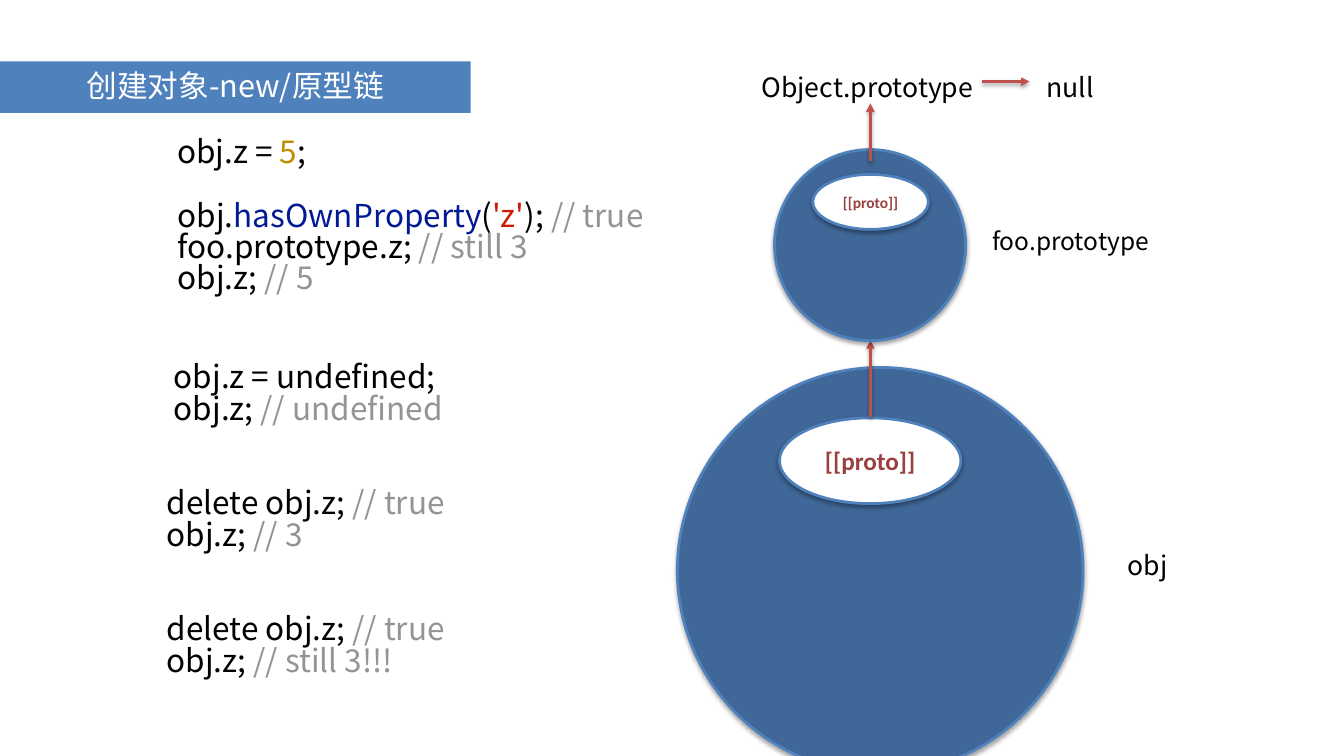
from lxml import etree
from pptx import Presentation
from pptx.dml.color import RGBColor
from pptx.enum.shapes import MSO_CONNECTOR, MSO_SHAPE
from pptx.enum.text import MSO_ANCHOR, PP_ALIGN
from pptx.oxml.ns import qn
from pptx.util import Cm, Pt

OVAL, RECT = MSO_SHAPE.OVAL, MSO_SHAPE.RECTANGLE
STRAIGHT = MSO_CONNECTOR.STRAIGHT
LEFT, CENTER = PP_ALIGN.LEFT, PP_ALIGN.CENTER
TOP, MIDDLE = MSO_ANCHOR.TOP, MSO_ANCHOR.MIDDLE

COLORS = {
    "text": "000000", "white": "FFFFFF", "banner": "4F81BD",
    "circle": "3F6797", "outline": "4F81BD", "arrow": "C0504D",
    "proto": "9A403E", "number": "BF8F00", "method": "021994",
    "string": "CD1D00", "comment": "959395", "shadow": "000000",
}
CJK, LATIN = "Noto Sans CJK SC", "Calibri"
CODE_SIZE, CODE_SPACING = 45, 0.83
PROTO_X = 43.87  # vertical axis of the prototype chain


def color(name):
    return RGBColor.from_string(COLORS[name])


def add_shadow(shape, opacity):
    properties = shape._element.spPr
    for old in properties.findall(qn("a:effectLst")):
        properties.remove(old)
    effects = etree.SubElement(properties, qn("a:effectLst"))
    outer = etree.SubElement(effects, qn("a:outerShdw"), blurRad=str(Pt(6)),
                             dist=str(Pt(3)), dir="5400000", rotWithShape="0")
    tint = etree.SubElement(outer, qn("a:srgbClr"), val=COLORS["shadow"])
    etree.SubElement(tint, qn("a:alpha"), val=str(opacity * 1000))


def write(frame, lines, size, font=CJK, align=LEFT, spacing=None,
          anchor=TOP, inset=0.25, wrap=True, bold=False):
    """Each line is a list of (text, colour name) runs."""
    layout = {"word_wrap": wrap, "vertical_anchor": anchor}
    for side in ("left", "top", "right", "bottom"):
        layout[f"margin_{side}"] = Cm(inset)
    for name, value in layout.items():
        setattr(frame, name, value)
    for number, line in enumerate(lines):
        paragraph = frame.add_paragraph() if number else frame.paragraphs[0]
        paragraph.alignment = align
        paragraph.line_spacing = spacing
        for text, tone in line:
            run = paragraph.add_run()
            run.text = text
            for name, value in {"name": font, "size": Pt(size), "bold": bold}.items():
                setattr(run.font, name, value)
            run.font.color.rgb = color(tone)
            etree.SubElement(run.font._element, qn("a:ea"), typeface=font)


def add_text(slide, box, lines, size, **options):
    frame = slide.shapes.add_textbox(*map(Cm, box)).text_frame
    write(frame, lines, size, **options)


def add_banner(slide, box, title):
    banner = slide.shapes.add_shape(RECT, *map(Cm, box))
    banner.shadow.inherit = False
    banner.fill.solid()
    banner.fill.fore_color.rgb = color("banner")
    banner.line.fill.background()
    write(banner.text_frame, [[(title, "white")]], 43.8, align=CENTER,
          spacing=0.9, anchor=MIDDLE, inset=0)


def add_oval(slide, box, fill):
    oval = slide.shapes.add_shape(OVAL, *map(Cm, box))
    oval.fill.solid()
    oval.fill.fore_color.rgb = color(fill)
    oval.line.color.rgb = color("outline")
    oval.line.width = Pt(4)
    add_shadow(oval, 35)
    return oval


def add_proto(slide, box, size):
    slot = add_oval(slide, box, "white")
    write(slot.text_frame, [[("[[proto]]", "proto")]], size, font=LATIN,
          align=CENTER, anchor=MIDDLE, inset=0, bold=True)


def add_arrow(slide, *ends):
    arrow = slide.shapes.add_connector(STRAIGHT, *map(Cm, ends))
    arrow.line.color.rgb = color("arrow")
    arrow.line.width = Pt(4)
    etree.SubElement(arrow.line._get_or_add_ln(), qn("a:tailEnd"), type="triangle")
    add_shadow(arrow, 38)


def main():
    deck = Presentation()
    deck.slide_width, deck.slide_height = Cm(67.74), Cm(38.1)
    slide = deck.slides.add_slide(deck.slide_layouts[6])

    add_banner(slide, (0, 3.1, 23.72, 2.59), "创建对象-new/原型链")

    # Prototype chain, from obj up to null
    add_oval(slide, (34.14, 18.52, 20.45, 20.45), "circle")
    add_proto(slide, (39.29, 21.06, 9.14, 4.32), 36)
    add_arrow(slide, PROTO_X, 21.03, PROTO_X, 17.15)
    add_oval(slide, (39.04, 7.54, 9.63, 9.63), "circle")
    add_arrow(slide, PROTO_X, 8.13, PROTO_X, 5.21)
    add_proto(slide, (40.97, 8.79, 5.82, 2.77), 22)
    add_arrow(slide, 49.5, 4.11, 51.89, 4.11)

    # Names of the objects in the chain
    labels = [
        ("obj", (56.54, 27.61, 2.62, 2.26), 38, CENTER, 0.9),
        ("foo.prototype", (49.61, 11.3, 8.71, 2.13), 35, CENTER, 0.9),
        ("Object.prototype", (38.13, 3, 11.48, 2.26), 38, LEFT, 1.2),
        ("null", (52.5, 3, 2.92, 2.26), 38, LEFT, 1.2),
    ]
    for name, box, size, align, spacing in labels:
        add_text(slide, box, [[(name, "text")]], size, align=align,
                 spacing=spacing, wrap=False)

    # Code steps
    delete_line = [("delete obj.z; ", "text"), ("// true", "comment")]

    def read_line(result, target="obj.z"):
        return [(f"{target}; ", "text"), (f"// {result}", "comment")]

    steps = [
        ((8.69, 6.71, 7.59, 2.62),
         [[("obj.z = ", "text"), ("5", "number"), (";", "text")]]),
        ((8.71, 9.93, 24.94, 6.86),
         [[("obj.", "text"), ("hasOwnProperty", "method"), ("(", "text"),
           ("'z'", "string"), ("); ", "text"), ("// true", "comment")],
          read_line("still 3", "foo.prototype.z"), read_line("5")]),
        ((8.51, 18.08, 14.86, 4.75),
         [[("obj.z = undefined;", "text")], read_line("undefined")]),
        ((8.15, 24.43, 15.57, 4.75), [delete_line, read_line("3")]),
        ((8.15, 30.78, 15.57, 4.75), [delete_line, read_line("still 3!!!")]),
    ]
    for box, lines in steps:
        add_text(slide, box, lines, CODE_SIZE, spacing=CODE_SPACING)

    deck.save("out.pptx")


if __name__ == "__main__":
    main()
